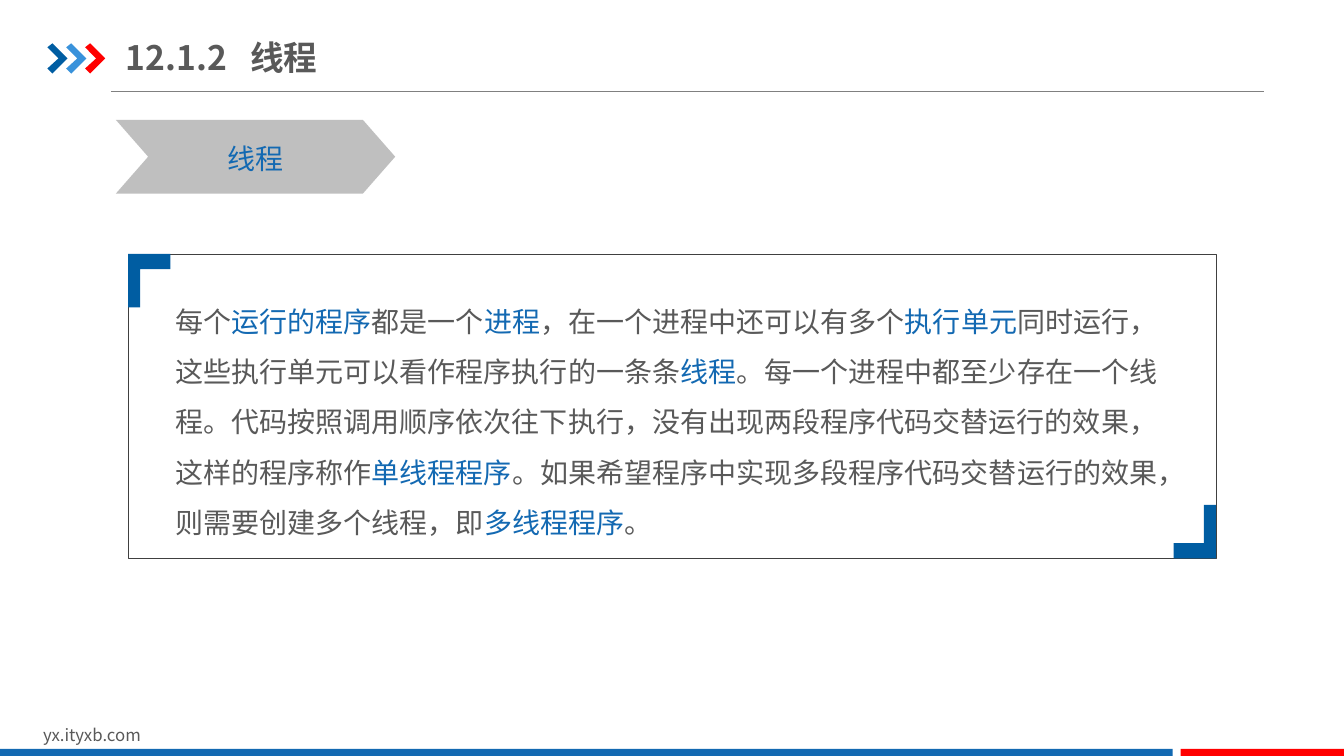
from dataclasses import dataclass

from lxml import etree
from pptx import Presentation
from pptx import util as u
from pptx.dml import color
from pptx.enum import shapes, text
from pptx.oxml import ns


@dataclass(frozen=True)
class Theme:
    font: str = "Noto Sans CJK SC"
    body: str = "595959"
    accent: str = "1369B2"
    deep: str = "005DA2"
    sky: str = "3992DB"
    red: str = "FF0000"
    banner: str = "BFBFBF"
    rule: str = "808080"
    frame: str = "404040"
    title_size: int = 24
    text_size: int = 20
    footer_size: int = 12


def apply_format(target, values):
    for name, value in values.items():
        setattr(target, name, value)


class SlideBuilder:
    def __init__(self, slide, theme):
        self.slide = slide
        self.theme = theme

    def paint(self, shape, fill=None, line=None, width=0.25):
        shape.shadow.inherit = False
        for part, value in ((shape.fill, fill), (shape.line.fill, line)):
            if value:
                part.solid()
                part.fore_color.rgb = color.RGBColor.from_string(value)
            else:
                part.background()
        if line:
            shape.line.width = u.Pt(width)

    def preset(self, kind, box, adjustment=None, **style):
        shape = self.slide.shapes.add_shape(kind, *map(u.Inches, box))
        if adjustment is not None:
            shape.adjustments[0] = adjustment
        self.paint(shape, **style)

    def outline(self, origin, offsets, fill, direction=1):
        left, top = origin
        points = [
            (u.Inches(left + direction * x), u.Inches(top + direction * y))
            for x, y in offsets
        ]
        builder = self.slide.shapes.build_freeform(*points[0])
        builder.add_line_segments(points[1:], close=True)
        self.paint(builder.convert_to_shape(), fill=fill)

    def line(self, start, end, line_color, width):
        connector = self.slide.shapes.add_connector(
            shapes.MSO_CONNECTOR.STRAIGHT, *map(u.Inches, start + end)
        )
        connector.line.color.rgb = color.RGBColor.from_string(line_color)
        connector.line.width = u.Pt(width)
        etree.SubElement(connector._element.spPr, ns.qn("a:effectLst"))

    def text(self, box, runs, size, bold=False, spacing=None, tab=None, **frame_format):
        shape = self.slide.shapes.add_textbox(*map(u.Inches, box))
        apply_format(shape.text_frame, {"word_wrap": True, **frame_format})
        paragraph = shape.text_frame.paragraphs[0]
        if spacing:
            paragraph.line_spacing = spacing
        if tab:
            tabs = etree.SubElement(paragraph._p.get_or_add_pPr(), ns.qn("a:tabLst"))
            etree.SubElement(tabs, ns.qn("a:tab"), pos=str(u.Inches(tab)), algn="l")
        for words, run_color in runs:
            run = paragraph.add_run()
            run.text = words
            apply_format(
                run.font, {"size": u.Pt(size), "bold": bold, "name": self.theme.font}
            )
            run.font.color.rgb = color.RGBColor.from_string(run_color)
            etree.SubElement(
                run._r.get_or_add_rPr(), ns.qn("a:ea"), typeface=self.theme.font
            )


ARROW = [(0, 0.04), (0.05, 0), (0.2, 0.15), (0.05, 0.3), (0, 0.25), (0.11, 0.15)]
CORNER = [(0, 0), (0.42, 0), (0.42, 0.15), (0.12, 0.15), (0.12, 0.53), (0, 0.53)]
EXPLANATION = [
    "每个", "运行的程序", "都是一个", "进程", "，在一个进程中还可以有多个", "执行单元",
    "同时运行，这些执行单元可以看作程序执行的一条条", "线程",
    "。每一个进程中都至少存在一个线程。代码按照调用顺序依次往下执行，"
    "没有出现两段程序代码交替运行的效果，这样的程序称作",
    "单线程程序",
    "。如果希望程序中实现多段程序代码交替运行的效果，则需要创建多个线程，即",
    "多线程程序", "。",
]


def main():
    theme = Theme()
    presentation = Presentation()
    apply_format(
        presentation, {"slide_width": u.Inches(13.33), "slide_height": u.Inches(7.5)}
    )
    slide = presentation.slides.add_slide(presentation.slide_layouts[6])
    builder = SlideBuilder(slide, theme)
    kinds = shapes.MSO_SHAPE

    builder.line((1.1, 0.91), (12.54, 0.91), theme.rule, 0.75)
    for index, fill in enumerate((theme.deep, theme.sky, theme.red)):
        builder.outline((0.47 + index * 0.187, 0.43), ARROW, fill)
    builder.text(
        (0.33, 7.14, 3.18, 0.3), [("yx.ityxb.com", theme.body)], theme.footer_size
    )
    for left, width, fill in ((0, 11.63, theme.accent), (11.71, 1.62, theme.red)):
        builder.preset(kinds.RECTANGLE, (left, 7.43, width, 0.09), fill=fill)

    builder.text(
        (1.25, 0.29, 4.26, 0.55), [("12.1.2\t线程", theme.body)], theme.title_size,
        bold=True, tab=1.23, vertical_anchor=text.MSO_ANCHOR.MIDDLE,
        margin_left=0, margin_right=0,
        margin_top=u.Inches(0.07), margin_bottom=u.Inches(0.07),
    )
    builder.preset(kinds.CHEVRON, (1.15, 1.19, 2.77, 0.73), 0.438, fill=theme.banner)
    builder.text(
        (1.64, 2.8, 10.08, 2.55),
        [
            (words, theme.accent if index % 2 else theme.body)
            for index, words in enumerate(EXPLANATION)
        ],
        theme.text_size, spacing=1.5,
    )
    builder.text(
        (2.16, 1.35, 0.76, 0.44), [("线程", theme.accent)], theme.text_size,
        word_wrap=False,
    )

    left, top, width, height = frame = (1.27, 2.52, 10.79, 3.02)
    builder.preset(kinds.ROUNDED_RECTANGLE, frame, 0, line=theme.frame)
    builder.outline((left, top), CORNER, theme.deep)
    builder.outline((left + width, top + height), CORNER, theme.deep, direction=-1)

    presentation.save("out.pptx")


if __name__ == "__main__":
    main()
